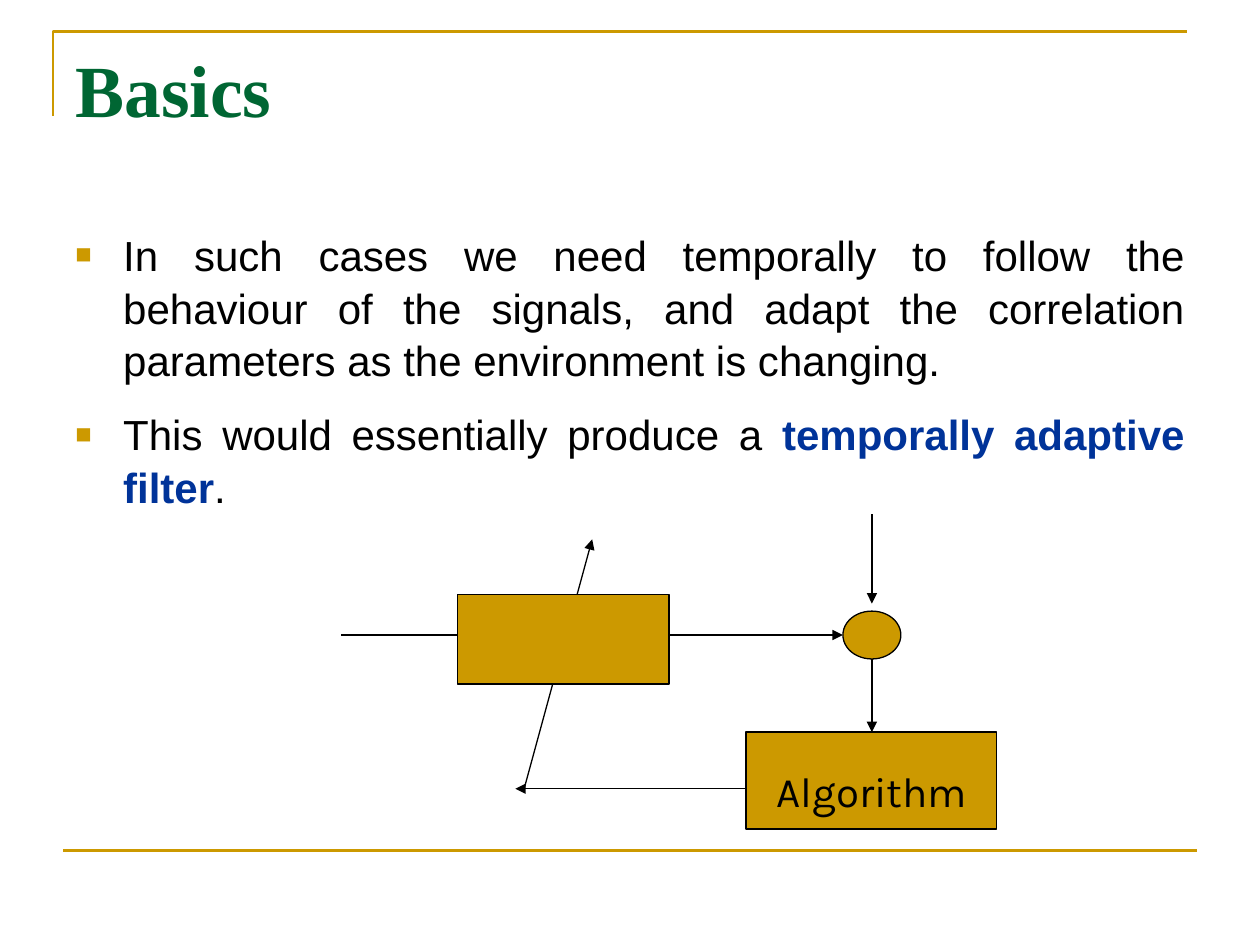
from pptx import Presentation
from pptx.dml.color import RGBColor
from pptx.enum.shapes import MSO_CONNECTOR, MSO_SHAPE
from pptx.enum.text import PP_ALIGN
from pptx.oxml.ns import qn
from pptx.util import Inches, Pt
from lxml import etree

STRAIGHT = MSO_CONNECTOR.STRAIGHT
RECTANGLE, OVAL = MSO_SHAPE.RECTANGLE, MSO_SHAPE.OVAL
CENTER, JUSTIFY = PP_ALIGN.CENTER, PP_ALIGN.JUSTIFY
COLORS = {"gold": "CC9900", "green": "006633", "blue": "003399", "black": "000000"}
BULLETS = [
    [("In such cases we need temporally to follow the behaviour of the signals, "
      "and adapt the correlation parameters as the environment is changing.", False)],
    [("This would essentially produce a ", False),
     ("temporally adaptive filter", True), (".", False)],
]


def color(name):
    return RGBColor.from_string(COLORS[name])


def set_font(font, name, size, hue, bold=False):
    font.name, font.size, font.bold = name, Pt(size), bold
    font.color.rgb = color(hue)


def add_line(page, start, end, hue, width, arrow=False):
    line = page.shapes.add_connector(STRAIGHT, *(Inches(v) for v in (*start, *end)))
    line.line.color.rgb = color(hue)
    line.line.width = Pt(width)
    if arrow:
        etree.SubElement(line.line._get_or_add_ln(), qn("a:tailEnd"), type="triangle")
    etree.SubElement(line._element.spPr, qn("a:effectLst"))


def add_text_frame(page, left, top, width, height):
    box = page.shapes.add_textbox(*(Inches(v) for v in (left, top, width, height)))
    box.text_frame.word_wrap = True
    return box.text_frame


def add_bullet(para):
    props = para._p.get_or_add_pPr()
    props.set("marL", str(Inches(0.38)))
    props.set("indent", str(-Inches(0.38)))
    hue = etree.SubElement(props, qn("a:buClr"))
    etree.SubElement(hue, qn("a:srgbClr"), val=COLORS["gold"])
    etree.SubElement(props, qn("a:buSzPct"), val="65000")
    etree.SubElement(props, qn("a:buFont"), typeface="Arial")
    etree.SubElement(props, qn("a:buChar"), char="■")


def add_frame(page, left, top, width, height):
    # Corner rule at the top, straight rule at the bottom
    pen = page.shapes.build_freeform(Inches(left), Inches(top + 0.67))
    pen.add_line_segments([(Inches(left), Inches(top)),
                           (Inches(left + width), Inches(top))], close=False)
    corner = pen.convert_to_shape()
    corner.shadow.inherit = False
    corner.fill.background()
    corner.line.color.rgb = color("gold")
    corner.line.width = Pt(1.5)
    bottom = top + height
    add_line(page, (left + 0.08, bottom), (left + 0.08 + width, bottom), "gold", 1.5)


def add_title(page, left, top, width, height):
    para = add_text_frame(page, left, top, width, height).paragraphs[0]
    para.text = "Basics"
    set_font(para.font, "Times New Roman", 42, "green", True)


def add_body(page, left, top, width, height):
    frame = add_text_frame(page, left, top, width, height)
    for index, spans in enumerate(BULLETS):
        para = frame.add_paragraph() if index else frame.paragraphs[0]
        para.alignment = JUSTIFY
        para.line_spacing = 1.05
        if index:
            para.space_before = Pt(12)
        add_bullet(para)
        set_font(para.font, "Arial", 24, "black")
        for text, strong in spans:
            span = para.add_run()
            span.text = text
            set_font(span.font, "Arial", 24, "blue" if strong else "black", strong)


def add_diagram(page, left, top):
    signal_y, feedback_y, sum_x = 0.96, 2.18, 4.21
    arrows = [
        ((0, signal_y), (3.98, signal_y)),           # input through the filter
        ((sum_x, signal_y), (sum_x, 1.73)),          # error to the algorithm
        ((3.59, feedback_y), (1.38, feedback_y)),    # feedback
        ((1.45, feedback_y), (1.99, 0.2)),           # filter adjustment
        ((sum_x, 0), (sum_x, 0.71)),                 # desired signal
    ]
    for start, end in arrows:
        add_line(page, (left + start[0], top + start[1]),
                 (left + end[0], top + end[1]), "black", 0.75, arrow=True)

    # Filter, summing node and algorithm
    blocks = [
        (RECTANGLE, 0.92, 0.64, 1.68, 0.71),
        (OVAL, 3.98, 0.77, 0.46, 0.38),
        (RECTANGLE, 3.21, 1.73, 1.99, 0.77),
    ]
    for kind, x, y, width, height in blocks:
        block = page.shapes.add_shape(kind, Inches(left + x), Inches(top + y),
                                      Inches(width), Inches(height))
        block.shadow.inherit = False
        block.fill.solid()
        block.fill.fore_color.rgb = color("gold")
        block.line.color.rgb = color("black")
        block.line.width = Pt(0.75)

    para = add_text_frame(page, left + 3.29, top + 1.95, 1.84, 0.38).paragraphs[0]
    para.text = "Algorithm"
    para.alignment = CENTER
    set_font(para.font, "Karla", 24, "black")


def main():
    deck = Presentation()
    deck.slide_width, deck.slide_height = Inches(10), Inches(7.5)
    page = deck.slides.add_slide(deck.slide_layouts[6])
    add_frame(page, 0.42, 0.25, 9, 6.5)
    add_title(page, 0.5, 0.3, 9, 1.25)
    add_body(page, 0.5, 1.75, 9, 4.95)
    add_diagram(page, 2.71, 4.08)
    deck.save("out.pptx")


if __name__ == "__main__":
    main()
